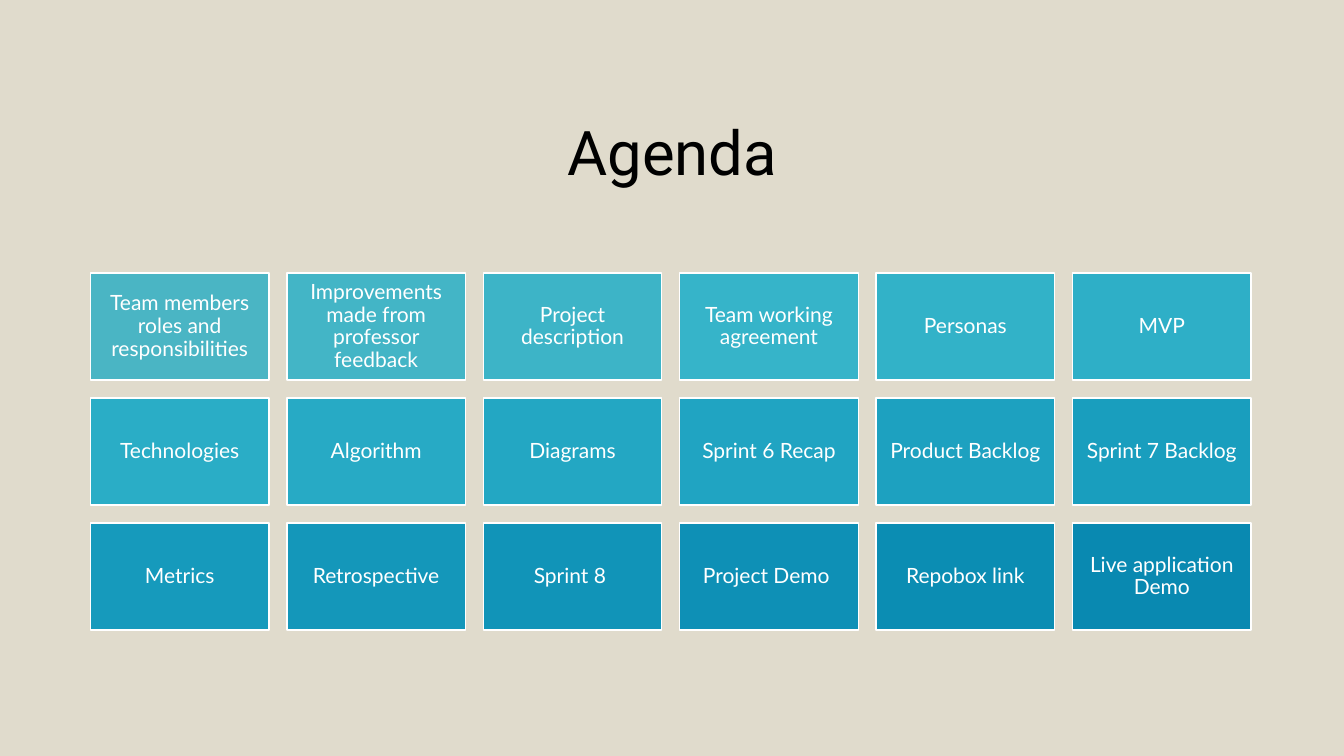
from pptx import Presentation
from pptx import util as u
from pptx.dml import color
from pptx.enum import shapes, text

BACKDROP = "E0DBCC"
WHITE = "FFFFFF"
COLUMNS = 6
LEFT, TOP = 2.28, 6.88
TILE_WIDTH, TILE_HEIGHT = 4.5, 2.7
COLUMN_STEP, ROW_STEP = 4.95, 3.15
TOPICS = [
    ("Team members roles and responsibilities", "4AB5C4"),
    ("Improvements made from professor feedback", "43B5C6"),
    ("Project description", "3DB4C7"),
    ("Team working agreement", "36B4C9"),
    ("Personas", "32B2C8"),
    ("MVP", "2EAFC7"),
    ("Technologies", "2AADC6"),
    ("Algorithm", "27AAC5"),
    ("Diagrams", "23A7C3"),
    ("Sprint 6 Recap", "20A4C2"),
    ("Product Backlog", "1DA1C0"),
    ("Sprint 7 Backlog", "199EBE"),
    ("Metrics", "169ABC"),
    ("Retrospective", "1497BA"),
    ("Sprint 8 ", "1194B8"),
    ("Project Demo ", "0E90B6"),
    ("Repobox link", "0B8DB3"),
    ("Live application Demo", "0989B1"),
]


def paint(target, shade):
    """Give a fill or a font a solid colour from a hex string."""
    if hasattr(target, "solid"):
        target.solid()
        target = target.fore_color
    else:
        target = target.color
    target.rgb = color.RGBColor.from_string(shade)


def write(frame, wording, font_name, size, shade):
    """Set centred wording in a text frame and format it."""
    frame.text = wording
    frame.word_wrap = True
    frame.vertical_anchor = text.MSO_ANCHOR.MIDDLE
    line = frame.paragraphs[0]
    line.alignment = text.PP_ALIGN.CENTER
    line.line_spacing = 0.9
    font = line.runs[0].font
    font.name = font_name
    font.size = u.Pt(size)
    paint(font, shade)


def add_heading(slide, wording):
    """Place and format the slide title."""
    heading = slide.shapes.title
    heading.left, heading.top = u.Cm(3.05), u.Cm(1.07)
    heading.width, heading.height = u.Cm(27.79), u.Cm(5.71)
    write(heading.text_frame, wording, "Roboto", 44, "000000")


def add_topic(slide, position, topic, shade):
    """Add one agenda tile at its position in the grid."""
    row, column = divmod(position, COLUMNS)
    tile = slide.shapes.add_shape(
        shapes.MSO_SHAPE.RECTANGLE,
        u.Cm(LEFT + column * COLUMN_STEP),
        u.Cm(TOP + row * ROW_STEP),
        u.Cm(TILE_WIDTH),
        u.Cm(TILE_HEIGHT),
    )
    tile.shadow.inherit = False
    paint(tile.fill, shade)
    paint(tile.line, WHITE)
    tile.line.width = u.Pt(1)
    frame = tile.text_frame
    frame.margin_left = frame.margin_right = u.Cm(0.15)
    frame.margin_top = frame.margin_bottom = u.Cm(0.15)
    write(frame, topic, "Lato", 15, WHITE)


def main():
    """Build the agenda slide and save it."""
    deck = Presentation()
    deck.slide_width, deck.slide_height = u.Cm(33.87), u.Cm(19.05)
    agenda = deck.slides.add_slide(deck.slide_layouts[5])
    paint(agenda.background.fill, BACKDROP)
    add_heading(agenda, "Agenda")
    for position, (topic, shade) in enumerate(TOPICS):
        add_topic(agenda, position, topic, shade)
    deck.save("out.pptx")


if __name__ == "__main__":
    main()
